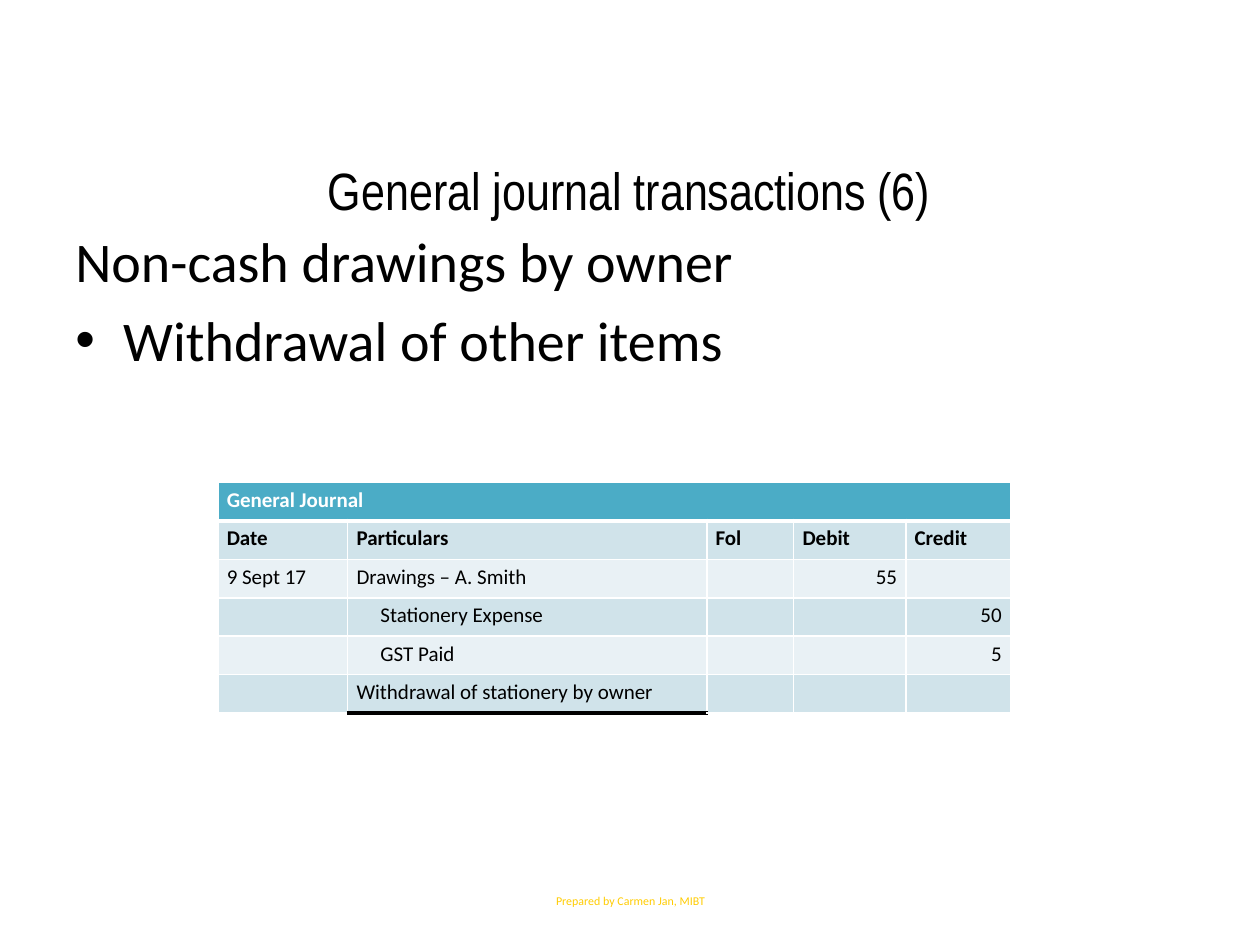
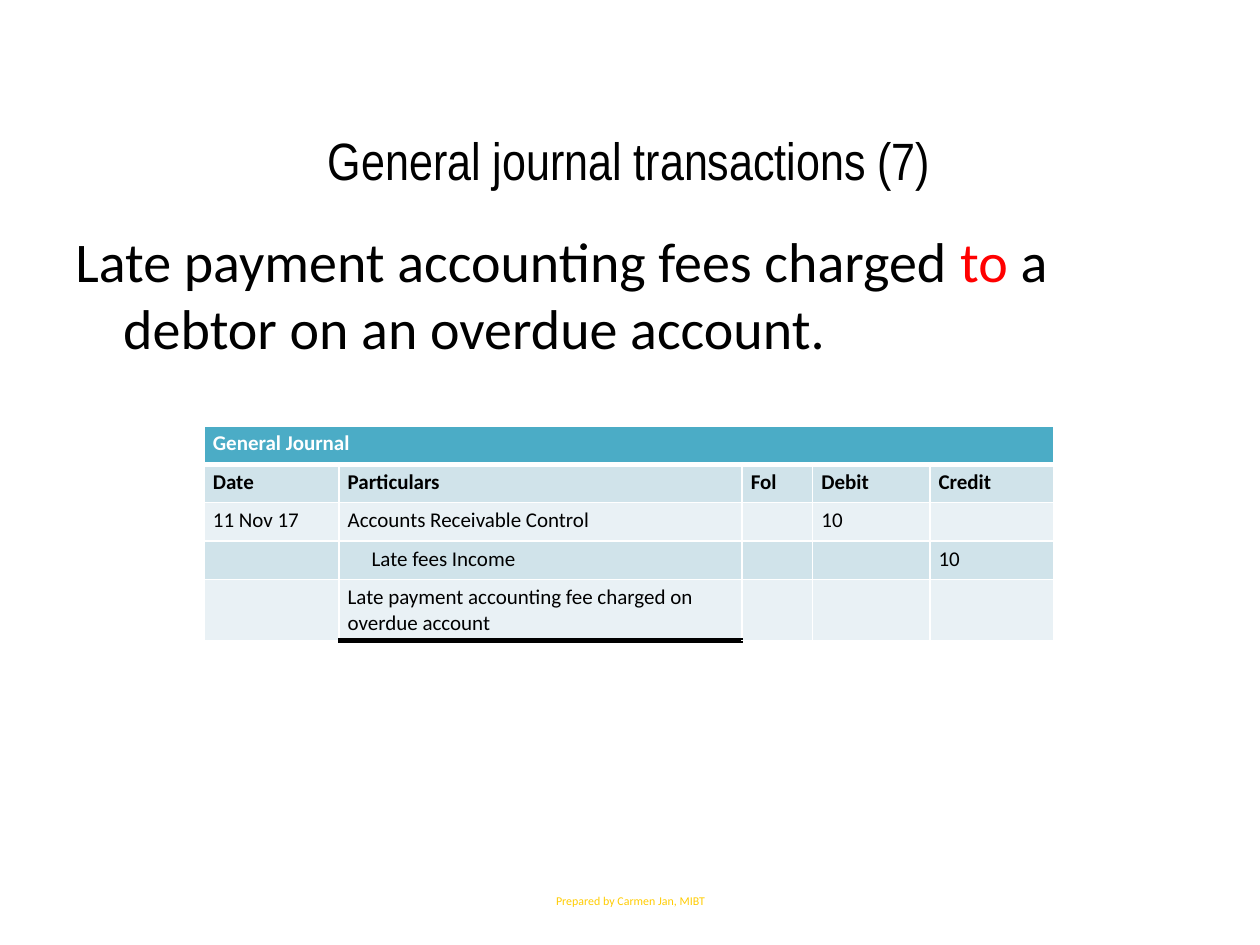
"""Build two slides of general journal entries, each with a heading, a topic and a ledger table."""
from dataclasses import dataclass
from typing import NamedTuple

from pptx import Presentation
from pptx.dml.color import RGBColor
from pptx.enum.text import MSO_ANCHOR as Anchor, PP_ALIGN as Align
from pptx.oxml.xmlchemy import OxmlElement as Element
from pptx.util import Inches, Pt

COLUMNS, ROWS = 100, 75
SLIDE_WIDTH, SLIDE_HEIGHT = Inches(10), Inches(7.5)
BLACK = RGBColor(0x00, 0x00, 0x00)
WHITE = RGBColor(0xFF, 0xFF, 0xFF)
RED = RGBColor(0xFF, 0x00, 0x00)
GOLD = RGBColor(0xFF, 0xCC, 0x00)
TEAL = RGBColor(0x4B, 0xAC, 0xC6)
BANDS = (RGBColor(0xD0, 0xE3, 0xEA), RGBColor(0xE9, 0xF1, 0xF5))
HEADINGS = ("Date", "Particulars", "Fol", "Debit", "Credit")
ENTRY_ROWS, EXTRA_LINE_ROWS = 3.05, 1.8
HANGING = 3.8
CREDIT_INDENT = 1.9


class Area(NamedTuple):
    left: float
    top: float
    width: float
    height: float


class Style(NamedTuple):
    size: float
    font: str = "Calibri"
    color: RGBColor = BLACK
    bold: bool = False


class Phrase(NamedTuple):
    text: str
    color: RGBColor = BLACK


class Topic(NamedTuple):
    phrases: tuple[Phrase, ...]
    bulleted: bool = False


class Entry(NamedTuple):
    particulars: str
    date: str = ""
    debit: str = ""
    credit: str = ""
    lines: int = 1


@dataclass(frozen=True)
class Journal:
    title: str
    title_top: float
    topics: tuple[Topic, ...]
    left: float
    top: float
    widths: tuple[float, ...]
    amount_align: Align
    entries: tuple[Entry, ...]


TITLE = Style(30, "Arial Narrow")
TOPIC = Style(32)
FOOTER = Style(6.8, color=GOLD)
LEDGER = Style(12)
LEDGER_HEADING = Style(12, bold=True)
LEDGER_NAME = Style(12, color=WHITE, bold=True)

JOURNALS = (
    Journal(
        "General journal transactions (6)", 11.4,
        (Topic((Phrase("Non-cash drawings by owner"),)),
         Topic((Phrase("Withdrawal of other items"),), bulleted=True)),
        17.3, 38.3, (10.3, 28.5, 6.9, 8.9, 8.3), Align.RIGHT,
        (Entry("Drawings – A. Smith", date="9 Sept 17", debit="55"),
         Entry("Stationery Expense", credit="50"),
         Entry("GST Paid", credit="5"),
         Entry("Withdrawal of stationery by owner")),
    ),
    Journal(
        "General journal transactions (7)", 9,
        (Topic((Phrase("Late payment accounting fees charged "), Phrase("to ", RED),
                Phrase("a debtor on an overdue account."))),),
        16.2, 33.8, (10.7, 32, 5.6, 9.3, 9.8), Align.JUSTIFY,
        (Entry("Accounts Receivable Control", date="11 Nov 17", debit="10"),
         Entry("Late fees Income", credit="10"),
         Entry("Late payment accounting fee charged on overdue account", lines=2)),
    ),
)


def across(columns: float) -> int:
    return round(SLIDE_WIDTH * columns / COLUMNS)


def down(rows: float) -> int:
    return round(SLIDE_HEIGHT * rows / ROWS)


def place(area: Area) -> tuple[int, int, int, int]:
    return across(area.left), down(area.top), across(area.width), down(area.height)


def add_run(paragraph, text: str, style: Style) -> None:
    run = paragraph.add_run()
    run.text = text
    run.font.size = Pt(style.size)
    run.font.name = style.font
    run.font.bold = style.bold
    run.font.color.rgb = style.color


def indent(paragraph, margin: float, first_line: float = 0) -> None:
    properties = paragraph._p.get_or_add_pPr()
    properties.set("marL", str(across(margin)))
    properties.set("indent", str(across(first_line)))


def add_frame(slide, area: Area, anchor: Anchor):
    frame = slide.shapes.add_textbox(*place(area)).text_frame
    frame.word_wrap = True
    frame.vertical_anchor = anchor
    return frame


def add_centred(slide, area: Area, text: str, style: Style) -> None:
    paragraph = add_frame(slide, area, Anchor.MIDDLE).paragraphs[0]
    paragraph.alignment = Align.CENTER
    add_run(paragraph, text, style)


def add_topics(slide, topics: tuple[Topic, ...]) -> None:
    frame = add_frame(slide, Area(5, 17.5, 90, 49.5), Anchor.TOP)
    for position, topic in enumerate(topics):
        paragraph = frame.add_paragraph() if position else frame.paragraphs[0]
        indent(paragraph, HANGING, -HANGING)
        if position:
            paragraph.space_before = Pt(TOPIC.size * 0.2)
        if topic.bulleted:
            typeface, mark = Element("a:buFont"), Element("a:buChar")
            typeface.set("typeface", "Arial")
            mark.set("char", "•")
            paragraph._p.get_or_add_pPr().extend((typeface, mark))
        for phrase in topic.phrases:
            add_run(paragraph, phrase.text, TOPIC._replace(color=phrase.color))


def add_border(cell, side: str, color: RGBColor, points: float) -> None:
    line, fill, tint = Element(f"a:ln{side}"), Element("a:solidFill"), Element("a:srgbClr")
    line.set("w", str(Pt(points)))
    tint.set("val", str(color))
    fill.append(tint)
    line.append(fill)
    cell._tc.get_or_add_tcPr().append(line)


def fill_cell(cell, text: str, style: Style, fill: RGBColor, align: Align,
              top: float, bottom: float, rule: RGBColor) -> None:
    cell.margin_left = cell.margin_right = across(0.7)
    cell.margin_top = cell.margin_bottom = down(0.4)
    for side, color, points in (("L", WHITE, 1), ("R", WHITE, 1),
                                ("T", WHITE, top), ("B", rule, bottom)):
        add_border(cell, side, color, points)
    cell.fill.solid()
    cell.fill.fore_color.rgb = fill
    paragraph = cell.text_frame.paragraphs[0]
    paragraph.alignment = align
    if text:
        add_run(paragraph, text, style)
    else:
        blank = Element("a:endParaRPr")
        blank.set("sz", str(style.size * 100))
        paragraph._p.append(blank)


def add_ledger(slide, journal: Journal) -> None:
    heights = [ENTRY_ROWS] * 2 + [ENTRY_ROWS + EXTRA_LINE_ROWS * (entry.lines - 1)
                                  for entry in journal.entries]
    area = Area(journal.left, journal.top, sum(journal.widths), sum(heights))
    ledger = slide.shapes.add_table(len(heights), len(HEADINGS), *place(area)).table
    ledger.first_row = ledger.horz_banding = False
    for column, width in zip(ledger.columns, journal.widths):
        column.width = across(width)
    for row, height in zip(ledger.rows, heights):
        row.height = down(height)

    records = [("General Journal", "", "", "", ""), HEADINGS]
    records += [(entry.date, entry.particulars, "", entry.debit, entry.credit)
                for entry in journal.entries]
    styles = [LEDGER_NAME, LEDGER_HEADING] + [LEDGER] * len(journal.entries)
    for r, (record, style) in enumerate(zip(records, styles)):
        for c, text in enumerate(record):
            closing = r == len(records) - 1 and HEADINGS[c] == "Particulars"
            amount = r > 1 and HEADINGS[c] in ("Debit", "Credit")
            fill_cell(ledger.cell(r, c), text, style,
                      fill=BANDS[(r - 1) % 2] if r else TEAL,
                      align=journal.amount_align if amount else Align.LEFT,
                      top=3 if r == 1 else 1,
                      bottom=3 if r == 0 or closing else 1,
                      rule=BLACK if closing else WHITE)
    for r, entry in enumerate(journal.entries, start=2):
        if entry.credit:
            indent(ledger.cell(r, 1).text_frame.paragraphs[0], CREDIT_INDENT)
    ledger.cell(0, 0).merge(ledger.cell(0, len(HEADINGS) - 1))


def main() -> None:
    deck = Presentation()
    deck.slide_width, deck.slide_height = SLIDE_WIDTH, SLIDE_HEIGHT
    for journal in JOURNALS:
        slide = deck.slides.add_slide(deck.slide_layouts[6])
        add_topics(slide, journal.topics)
        add_centred(slide, Area(34.2, 69.5, 31.7, 4), "Prepared by Carmen Jan, MIBT", FOOTER)
        add_ledger(slide, journal)
        add_centred(slide, Area(16.2, journal.title_top, 67.5, 7.3), journal.title, TITLE)
    deck.save("out.pptx")


if __name__ == "__main__":
    main()
